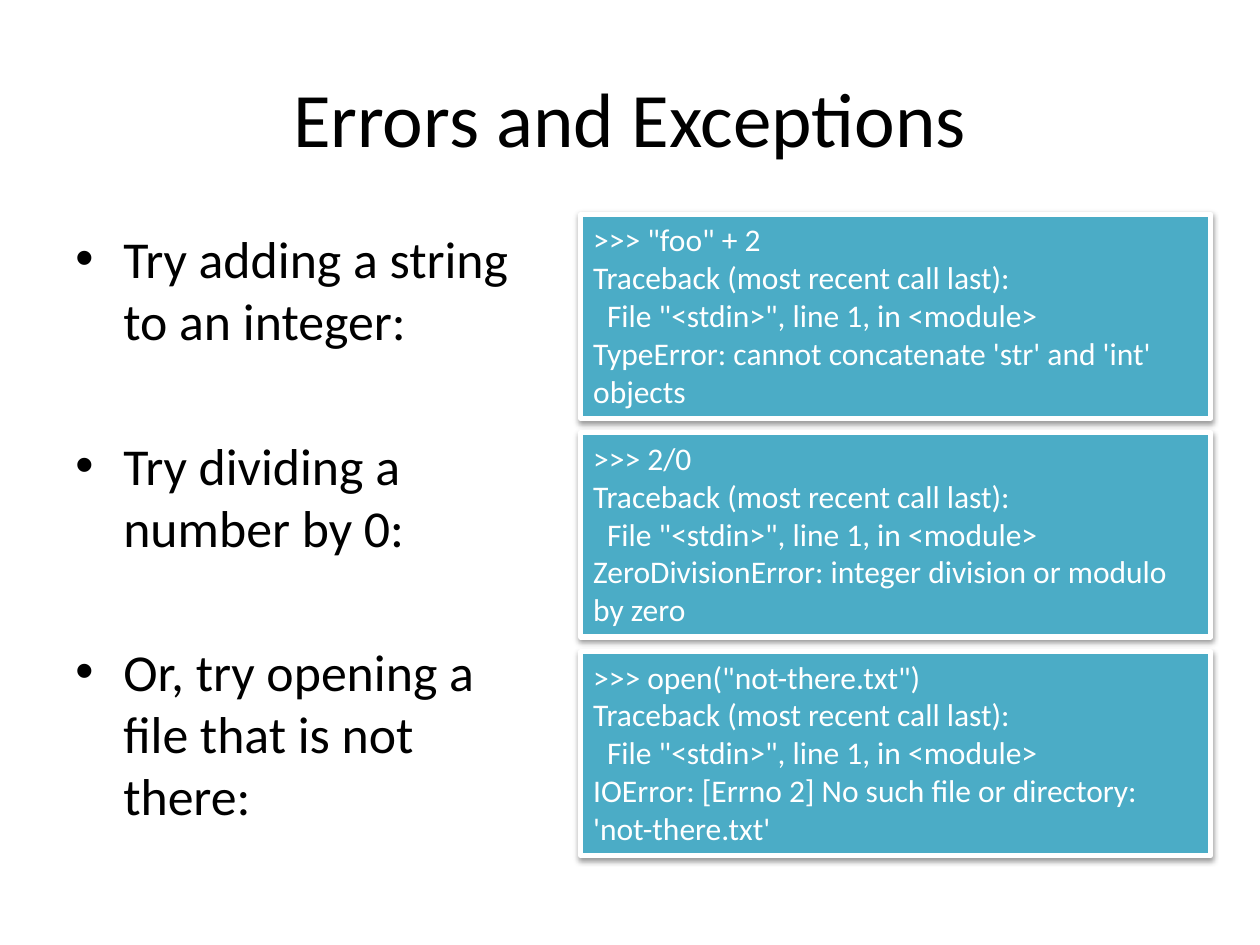
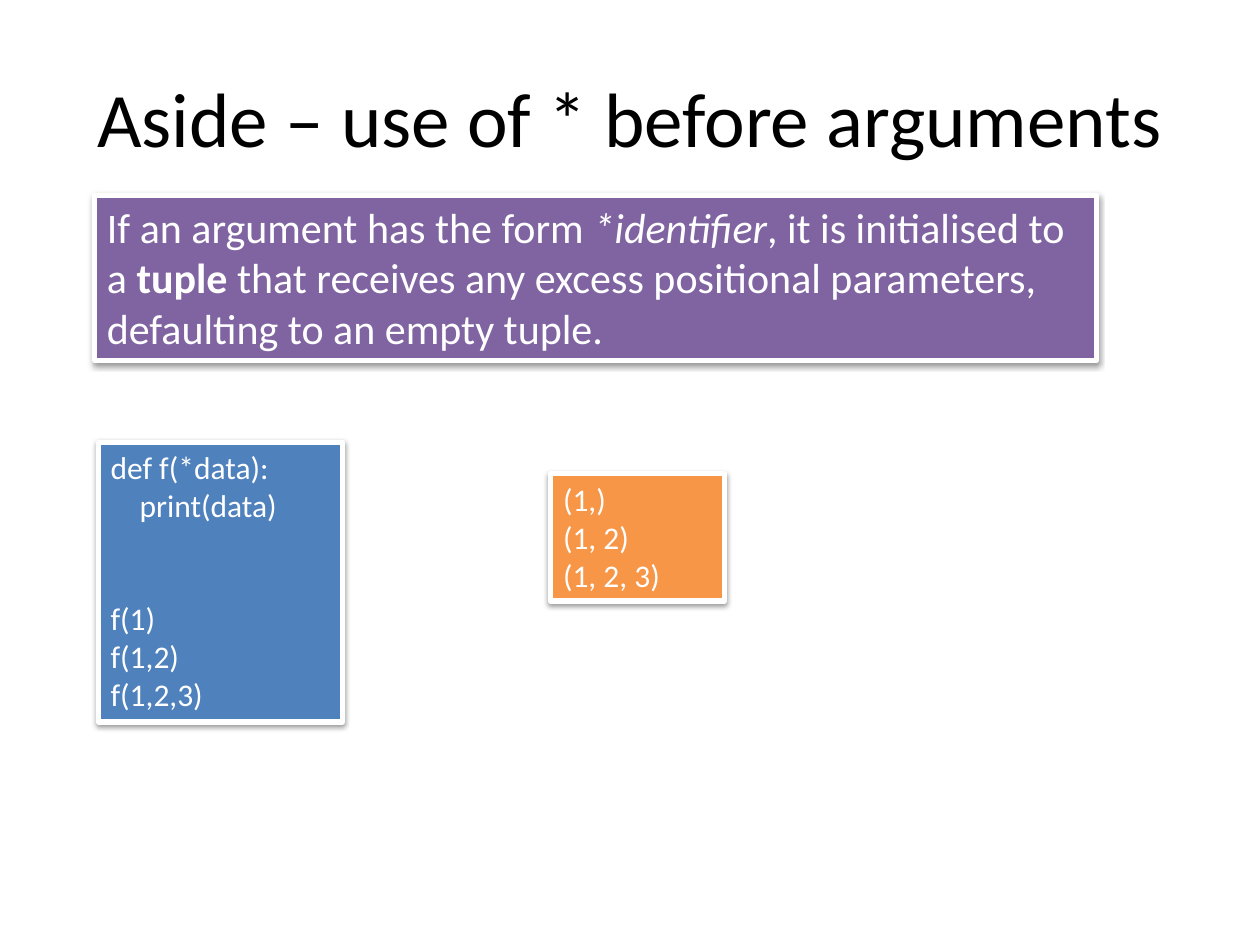
"""Two slides on Python errors and starred arguments."""
from dataclasses import dataclass

import lxml.etree
import pptx
import pptx.dml.color
import pptx.enum.shapes
import pptx.enum.text
import pptx.oxml.ns
import pptx.util

Inches = pptx.util.Inches
Pt = pptx.util.Pt
ANCHOR = pptx.enum.text.MSO_ANCHOR
ALIGN = pptx.enum.text.PP_ALIGN


@dataclass(frozen=True)
class Theme:
    """Colours, font and type sizes of the deck."""
    font: str = "Calibri"
    ink: str = "000000"
    paper: str = "FFFFFF"
    teal: str = "4BACC6"
    purple: str = "8064A2"
    blue: str = "4F81BD"
    orange: str = "F79646"
    title: float = 44
    body: float = 29.6
    lead: float = 24
    code: float = 18


THEME = Theme()


@dataclass(frozen=True)
class Span:
    """A stretch of text in one style."""
    text: str
    bold: bool = False
    slant: bool = False


@dataclass(frozen=True)
class Line:
    """A paragraph: its spans, left indent (inches) and space before (points)."""
    spans: tuple[Span, ...]
    indent: float = 0
    before: float = 0


@dataclass(frozen=True)
class Box:
    """A framed panel: place in inches, fill, lines and type size."""
    left: float
    top: float
    width: float
    height: float
    fill: str
    lines: tuple[Line, ...]
    size: float = THEME.code


def plain(text: str, indent: float = 0, before: float = 0) -> Line:
    """Return a line in a single plain style."""
    return Line((Span(text),), indent, before)


def colour(code: str) -> pptx.dml.color.RGBColor:
    """Turn a hex code into a colour."""
    return pptx.dml.color.RGBColor.from_string(code)


def child(parent, tag: str, **attrs: str):
    """Append an XML element such as a:buChar and return it."""
    return lxml.etree.SubElement(parent, pptx.oxml.ns.qn(tag), attrs)


def write(frame, lines: tuple[Line, ...], size: float, ink: str, align=ALIGN.LEFT) -> None:
    """Fill a text frame with styled lines."""
    frame.word_wrap = True
    for index, line in enumerate(lines):
        para = frame.paragraphs[0] if index == 0 else frame.add_paragraph()
        para.alignment = align
        para.space_before = Pt(line.before)
        if line.indent:
            para._p.get_or_add_pPr().set("marL", str(Inches(line.indent)))
        for span in line.spans:
            run = para.add_run()
            run.text = span.text
            run.font.name = THEME.font
            run.font.size = Pt(size)
            run.font.bold = span.bold
            run.font.italic = span.slant
            run.font.color.rgb = colour(ink)


def add_slide(deck, title: str):
    """Add a blank slide with a centred title."""
    slide = deck.slides.add_slide(deck.slide_layouts[6])
    frame = slide.shapes.add_textbox(
        Inches(0.5), Inches(0.3), Inches(9), Inches(1.25)).text_frame
    frame.vertical_anchor = ANCHOR.MIDDLE
    write(frame, (plain(title),), THEME.title, THEME.ink, ALIGN.CENTER)
    return slide


def add_list(slide, items: tuple[str, ...]) -> None:
    """Add the bullet list at the left."""
    frame = slide.shapes.add_textbox(
        Inches(0.5), Inches(1.75), Inches(3.71), Inches(4.95)).text_frame
    hang, first, gap = 0.38, 6, 47
    lines = tuple(plain(item, hang, gap if index else first)
                  for index, item in enumerate(items))
    write(frame, lines, THEME.body, THEME.ink)
    for para in frame.paragraphs:
        props = para._p.get_or_add_pPr()
        props.set("indent", str(-Inches(hang)))
        child(props, "a:buFont", typeface="Arial")
        child(props, "a:buChar", char="\u2022")


def add_box(slide, box: Box) -> None:
    """Add a filled panel with a white frame and a soft shadow."""
    shape = slide.shapes.add_shape(
        pptx.enum.shapes.MSO_SHAPE.RECTANGLE, Inches(box.left), Inches(box.top),
        Inches(box.width), Inches(box.height))
    shape.fill.solid()
    shape.fill.fore_color.rgb = colour(box.fill)
    shape.line.color.rgb = colour(THEME.paper)
    shape.line.width = Pt(3)
    shape.shadow.inherit = False
    effects = shape._element.spPr.find(pptx.oxml.ns.qn("a:effectLst"))
    shade = child(effects, "a:outerShdw", blurRad=str(Pt(3.1)), dist=str(Pt(1.6)),
                  dir="5400000", rotWithShape="0")
    child(child(shade, "a:srgbClr", val=THEME.ink), "a:alpha", val="38000")
    frame = shape.text_frame
    frame.vertical_anchor = ANCHOR.TOP
    write(frame, box.lines, box.size, THEME.paper)
    frame.auto_size = pptx.enum.text.MSO_AUTO_SIZE.SHAPE_TO_FIT_TEXT


def add_errors(deck) -> None:
    """Build the slide on errors, with one trace per bullet."""
    slide = add_slide(deck, "Errors and Exceptions")
    add_list(slide, (
        "Try adding a string to an integer:",
        "Try dividing a number by 0:",
        "Or, try opening a file that is not there:",
    ))
    traces = (
        ('"foo" + 2', "TypeError: cannot concatenate 'str' and 'int' objects"),
        ("2/0", "ZeroDivisionError: integer division or modulo by zero"),
        ('open("not-there.txt")',
         "IOError: [Errno 2] No such file or directory: 'not-there.txt'"),
    )
    top, pitch = 1.7, 1.735
    for index, (entry, error) in enumerate(traces):
        lines = (
            plain(f">>> {entry}"),
            plain("Traceback (most recent call last):"),
            plain('File "<stdin>", line 1, in <module>', indent=0.11),
            plain(error),
        )
        add_box(slide, Box(4.61, top + index * pitch, 5, 1.62, THEME.teal, lines))


def add_aside(deck) -> None:
    """Build the slide on starred arguments."""
    slide = add_slide(deck, "Aside \u2013 use of * before arguments")
    rule = Line((
        Span("If an argument has the form "),
        Span("*identifier", slant=True),
        Span(", it is initialised to a "),
        Span("tuple ", bold=True),
        Span("that receives any excess positional parameters, "
             "defaulting to an empty tuple."),
    ))
    code = (
        plain("def f(*data):"),
        plain("print(data)", indent=0.23),
        plain("f(1)", before=43),
        plain("f(1,2)"),
        plain("f(1,2,3)"),
    )
    result = tuple(plain(text) for text in ("(1,)", "(1, 2)", "(1, 2, 3)"))
    for box in (
        Box(0.75, 1.55, 7.95, 1.31, THEME.purple, (rule,), THEME.lead),
        Box(0.78, 3.51, 1.94, 2.22, THEME.blue, code),
        Box(4.37, 3.76, 1.38, 1.01, THEME.orange, result),
    ):
        add_box(slide, box)


def main() -> None:
    """Build and save the deck."""
    deck = pptx.Presentation()
    deck.slide_width, deck.slide_height = Inches(10), Inches(7.5)
    add_errors(deck)
    add_aside(deck)
    deck.save("out.pptx")


main()
